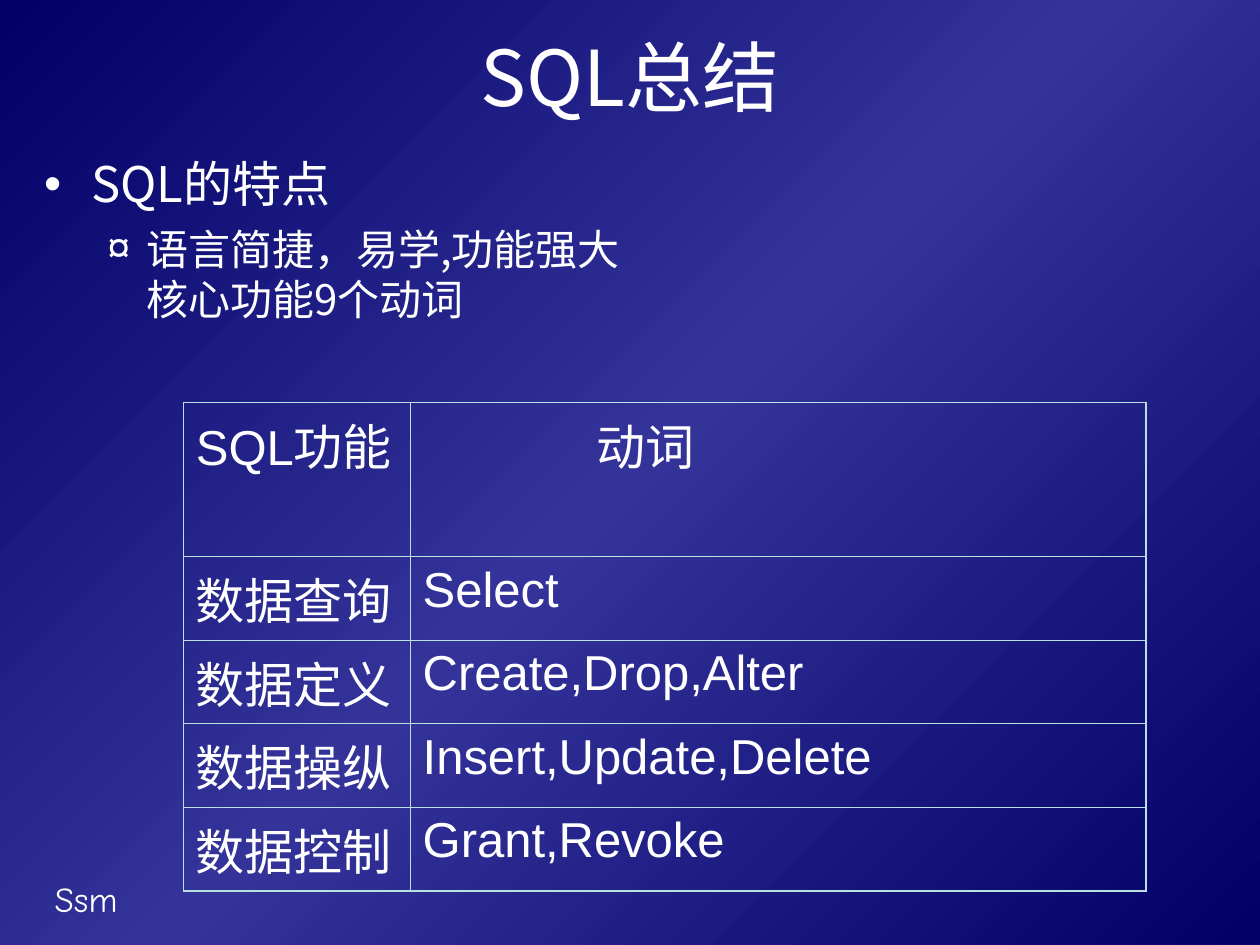
from copy import deepcopy
from dataclasses import dataclass

from lxml.etree import SubElement as Sub
from pptx import Presentation
from pptx.dml.color import RGBColor
from pptx.enum.text import MSO_ANCHOR as Anchor, MSO_AUTO_SIZE as Fit, PP_ALIGN as Align
from pptx.oxml.ns import qn
from pptx.util import Inches, Pt

WHITE = RGBColor(0xFF, 0xFF, 0xFF)
NAVY = RGBColor(0x00, 0x00, 0x66)
BLUE = RGBColor(0x33, 0x33, 0x99)
PALE = RGBColor(0xBB, 0xE0, 0xE3)
HAN = "Noto Sans CJK SC"
UNIT = Inches(0.1)
COLS, ROWS = 100, 75
THICK, THIN = Pt(1.08), Pt(0.45)
WORDS = [
    ("SQL功能", "动词"),
    ("数据查询", "Select"),
    ("数据定义", "Create,Drop,Alter"),
    ("数据操纵", "Insert,Update,Delete"),
    ("数据控制", "Grant,Revoke"),
]


@dataclass(frozen=True)
class Box:
    """Place on the grid of the slide, in columns and rows."""
    col: float
    row: float
    wide: float
    high: float

    def spot(self) -> dict:
        """Give the place as shape attributes."""
        vals = (self.col, self.row, self.wide, self.high)
        return {k: grid(v) for k, v in zip(("left", "top", "width", "height"), vals)}


@dataclass(frozen=True)
class Point:
    """One bulleted item of the list."""
    text: str
    level: int
    mark: str
    size: int
    left: float
    hang: float
    gap: int


POINTS = [
    Point("SQL的特点", 0, "•", 28, 3.75, 3.75, 0),
    Point("语言简捷，易学,功能强大\v核心功能9个动词", 1, "¤", 24, 8.1, 3.1, 6),
]


def grid(num: float) -> int:
    """Turn grid steps into a length."""
    return round(num * UNIT)


def put(obj, vals: dict) -> None:
    """Set each attribute in the dict."""
    for key, val in vals.items():
        setattr(obj, key, val)


def style(para, size: int, face: str = HAN) -> None:
    """Format all runs and breaks of a paragraph."""
    for run in para.runs:
        put(run.font, {"size": Pt(size), "name": face, "bold": False})
        run.font.color.rgb = WHITE
        Sub(run.font._element, qn("a:ea"), typeface=HAN)
    for brk in para._p.findall(qn("a:br")):
        Sub(brk, qn("a:rPr"), sz=str(size * 100))


def back(slide) -> None:
    """Fill the slide with a diagonal gradient of three stops."""
    fill = slide.background.fill
    fill.gradient()
    stops = slide.element.find(".//" + qn("a:gsLst"))
    stops.append(deepcopy(stops[-1]))
    fill.gradient_angle = 315
    for stop, spot, tint in zip(fill.gradient_stops, (0, 0.5, 1), (NAVY, BLUE, NAVY)):
        stop.position = spot
        stop.color.rgb = tint


def item(para, point: Point) -> None:
    """Write one list item with its bullet."""
    para.text = point.text
    para.level = point.level
    prop = para._p.get_or_add_pPr()
    prop.set("marL", str(grid(point.left)))
    prop.set("indent", str(-grid(point.hang)))
    Sub(Sub(prop, qn("a:buClr")), qn("a:srgbClr"), val=str(WHITE))
    Sub(prop, qn("a:buChar"), char=point.mark)
    para.space_before = Pt(point.gap)
    style(para, point.size)


def edge(cell, side: str, width: int) -> None:
    """Draw one border of a cell."""
    line = Sub(cell._tc.get_or_add_tcPr(), qn(f"a:ln{side}"), w=str(width))
    Sub(Sub(line, qn("a:solidFill")), qn("a:srgbClr"), val=str(PALE))
    Sub(line, qn("a:prstDash"), val="solid")


def list_verbs(slide, box: Box, first: float) -> None:
    """Add the table of SQL verbs, with a taller first row."""
    last, end = len(WORDS) - 1, len(WORDS[0]) - 1
    table = slide.shapes.add_table(last + 1, end + 1, **box.spot()).table
    put(table, {"first_row": False, "horz_banding": False})
    for col, wide in zip(table.columns, (18, box.wide - 18)):
        col.width = grid(wide)
    for r, row in enumerate(table.rows):
        row.height = grid((box.high - first) / last if r else first)
        for c, cell in enumerate(row.cells):
            cell.text = WORDS[r][c]
            style(cell.text_frame.paragraphs[0], 28, "Arial")
            outer = {"L": c == 0, "R": c == end, "T": r == 0, "B": r == last}
            for side, out in outer.items():
                edge(cell, side, THICK if out else THIN)
            cell.fill.background()
    head = table.cell(0, 1).text_frame.paragraphs[0]
    head._p.get_or_add_pPr().set("marL", str(grid(13.8)))


def main() -> None:
    """Build and save the slide."""
    deck = Presentation()
    put(deck, {"slide_width": grid(COLS), "slide_height": grid(ROWS)})
    slide = deck.slides.add_slide(deck.slide_layouts[1])
    back(slide)

    title, body = slide.placeholders
    put(title, Box(5, 1.65, 90, 8.7).spot())
    put(body, Box(2.5, 11.7, 95.5, 57.5).spot())
    for shape in (title, body):
        put(shape.text_frame, {"auto_size": Fit.NONE, "word_wrap": True})
    title.text_frame.text = "SQL总结"
    title.text_frame.vertical_anchor = Anchor.MIDDLE
    head = title.text_frame.paragraphs[0]
    head.alignment = Align.CENTER
    style(head, 44)

    frame = body.text_frame
    for i, point in enumerate(POINTS):
        item(frame.add_paragraph() if i else frame.paragraphs[0], point)

    note = slide.shapes.add_textbox(**Box(3.35, 69.15, 20.8, 4.4).spot()).text_frame
    put(note, {"word_wrap": True, "text": "Ssm"})
    style(note.paragraphs[0], 20, "Comic Neue")
    list_verbs(slide, Box(14.55, 31.95, 76.4, 38.76), 12.24)
    deck.save("out.pptx")


if __name__ == "__main__":
    main()
